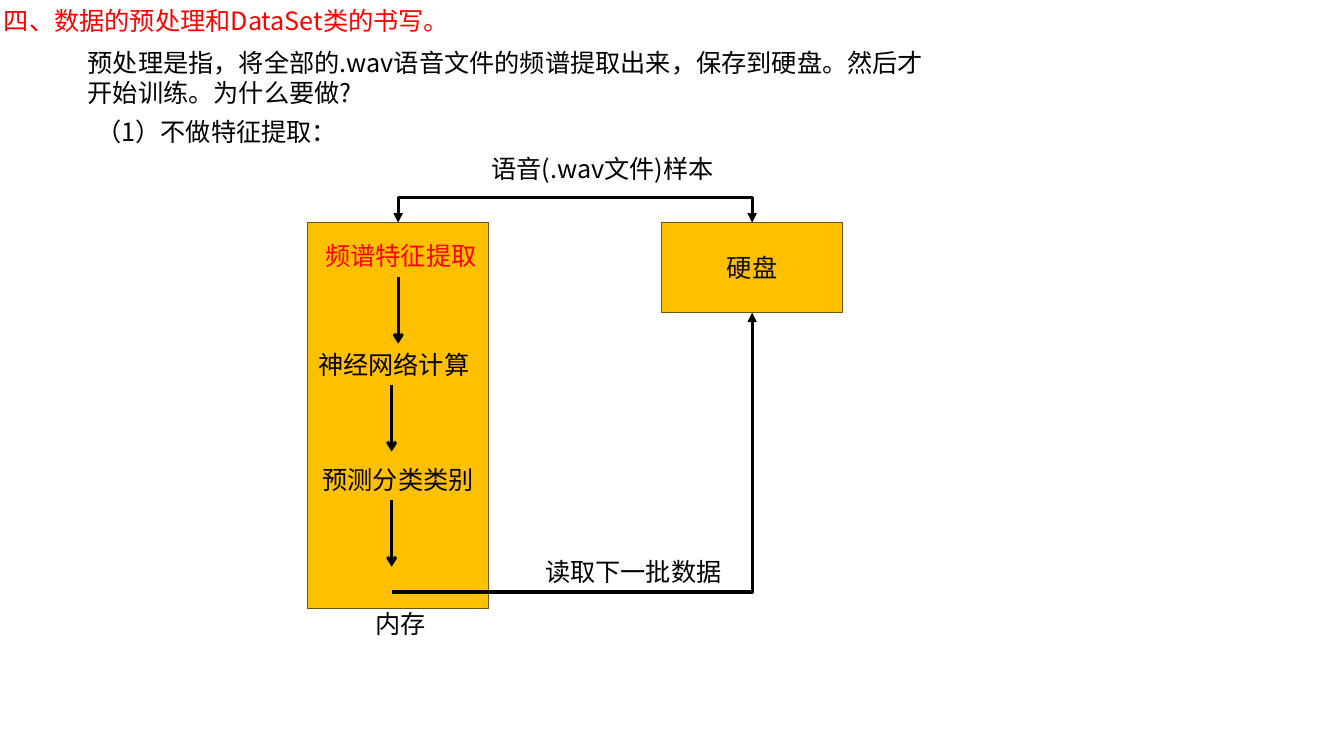
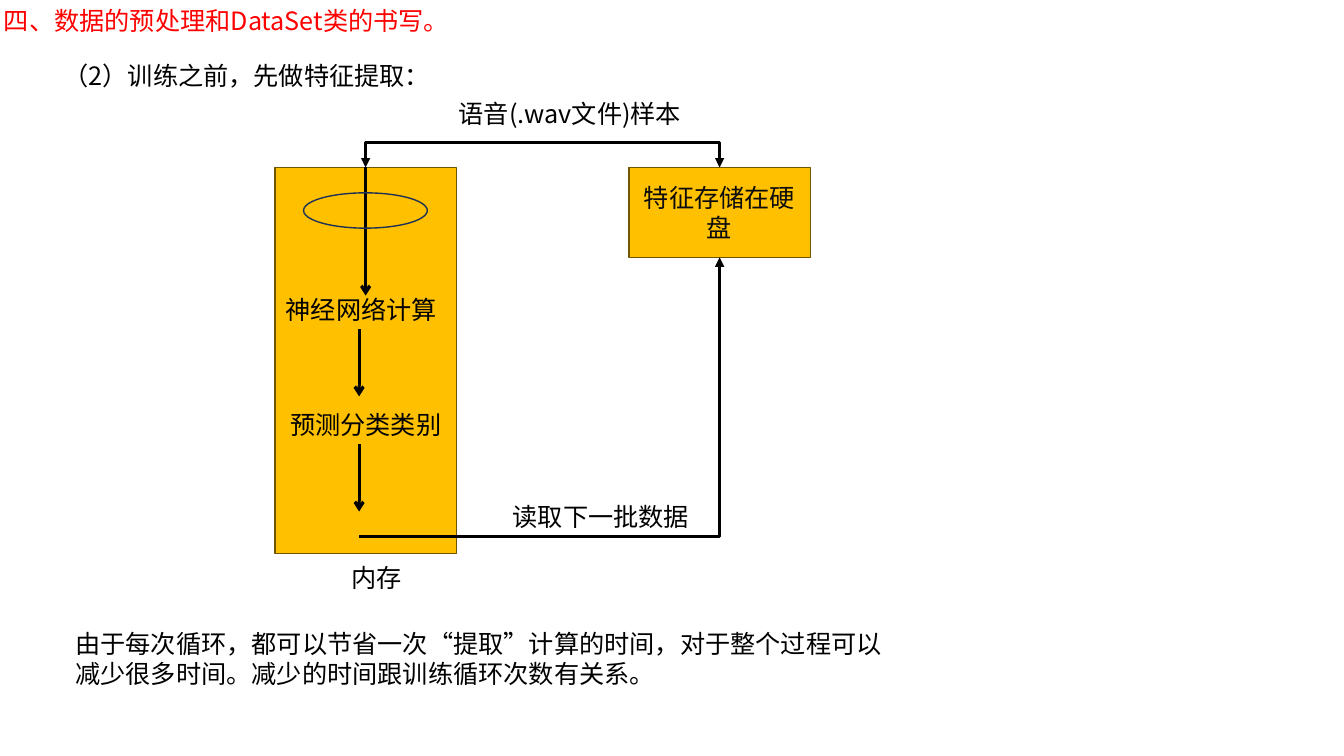
from dataclasses import dataclass

from lxml import etree
from pptx import Presentation
from pptx.dml.color import RGBColor
from pptx.enum import shapes, text
from pptx.oxml import ns
from pptx.util import Cm, Pt


@dataclass(frozen=True)
class Theme:
    font: str = "Noto Sans CJK SC"
    size: float = 18
    ink: str = "000000"
    box_ink: str = "0D0D0D"
    accent: str = "FF0000"
    box_fill: str = "FFC000"
    box_edge: str = "705400"
    ellipse_edge: str = "1E3256"
    edge_width: float = 1
    arrow_width: float = 2.25


THEME = Theme()
LINE_HEIGHT = 1.03
MEMORY_SIZE = (4.57, 9.73)
DISK_SIZE = (4.57, 2.27)
DISK_OFFSET = 8.92


# Basic parts; all lengths are in centimetres
def write_text(frame, words, color=THEME.ink, size=THEME.size,
               align=text.PP_ALIGN.LEFT, anchor=text.MSO_ANCHOR.TOP):
    frame.word_wrap = True
    frame.vertical_anchor = anchor
    paragraph = frame.paragraphs[0]
    paragraph.alignment = align
    run = paragraph.add_run()
    run.text = words
    run.font.size = Pt(size)
    run.font.name = THEME.font
    run.font.color.rgb = RGBColor.from_string(color)
    east_asian = etree.SubElement(run.font._element, ns.qn("a:ea"))
    east_asian.set("typeface", THEME.font)


def add_label(slide, words, left, top, width, height=LINE_HEIGHT, **style):
    label = slide.shapes.add_textbox(Cm(left), Cm(top), Cm(width), Cm(height))
    write_text(label.text_frame, words, **style)


def add_outline(slide, kind, left, top, size, edge, fill=None):
    outline = slide.shapes.add_shape(kind, Cm(left), Cm(top), *map(Cm, size))
    outline.shadow.inherit = False
    if fill:
        outline.fill.solid()
        outline.fill.fore_color.rgb = RGBColor.from_string(fill)
    else:
        outline.fill.background()
    outline.line.color.rgb = RGBColor.from_string(edge)
    outline.line.width = Pt(THEME.edge_width)
    return outline


def add_box(slide, left, top, size):
    return add_outline(slide, shapes.MSO_SHAPE.RECTANGLE, left, top, size,
                       THEME.box_edge, THEME.box_fill)


def add_arrow(slide, start, end, bent=False):
    """Straight arrow, or one that runs sideways first and then up or down."""
    route = shapes.MSO_CONNECTOR.ELBOW if bent else shapes.MSO_CONNECTOR.STRAIGHT
    arrow = slide.shapes.add_connector(route, *map(Cm, (*start, *end)))
    arrow.line.color.rgb = RGBColor.from_string(THEME.ink)
    arrow.line.width = Pt(THEME.arrow_width)
    properties = arrow._element.spPr
    if bent:
        properties.find(ns.qn("a:prstGeom")).set("prst", "bentConnector2")
    tip = etree.SubElement(arrow.line._get_or_add_ln(), ns.qn("a:tailEnd"))
    tip.set("type", "triangle" if bent else "arrow")
    etree.SubElement(properties, ns.qn("a:effectLst"))


# Regions
def add_heading(slide):
    add_label(slide, "四、数据的预处理和DataSet类的书写。", -0.15, 0, 11.38,
              color=THEME.accent)


def add_data_flow(slide, left, top, disk_words, first_arrow, memory_label):
    """Memory and disk with the arrows between them, from memory's corner."""
    def at(x, y):
        return left + x, top + y

    # Disk and memory
    disk = add_box(slide, *at(DISK_OFFSET, 0), DISK_SIZE)
    write_text(disk.text_frame, disk_words, color=THEME.box_ink,
               align=text.PP_ALIGN.CENTER, anchor=text.MSO_ANCHOR.MIDDLE)
    add_box(slide, left, top, MEMORY_SIZE)
    add_label(slide, "内存", *at(*memory_label), 2.16)

    # Samples shared by both boxes
    memory_middle = MEMORY_SIZE[0] / 2
    disk_middle = DISK_OFFSET + DISK_SIZE[0] / 2
    bridge = at((memory_middle + disk_middle) / 2, -0.63)
    for middle in (memory_middle, disk_middle):
        add_arrow(slide, bridge, at(middle, 0), bent=True)
    add_label(slide, "语音(.wav文件)样本", *at(4.38, -1.87), 6.78)

    # Steps in memory
    add_arrow(slide, *(at(memory_middle, y) for y in first_arrow))
    step_axis = 2.12
    for words, indent, y in (("神经网络计算", 0.02, 3.06),
                             ("预测分类类别", 0.13, 5.96)):
        add_label(slide, words, *at(indent, y), 5.31)
        add_arrow(slide, at(step_axis, y + 1.02), at(step_axis, y + 2.71))

    # Next batch
    add_arrow(slide, at(step_axis, 9.31), at(disk_middle, DISK_SIZE[1]), bent=True)
    add_label(slide, "读取下一批数据", *at(5.74, 8.28), 5.46)


# Slides
def build_without_extraction(slide):
    left, top = 7.75, 5.61
    add_heading(slide)
    add_label(slide, "预处理是指，将全部的.wav语音文件的频谱提取出来，保存到硬盘。"
              "然后才开始训练。为什么要做?", 1.96, 1.07, 22, 1.8)
    add_label(slide, "（1）不做特征提取：", 2.18, 2.8, 8.36)
    add_data_flow(slide, left, top, "硬盘", first_arrow=(1.36, 3.05),
                  memory_label=(1.47, 9.6))
    add_label(slide, "频谱特征提取", left + 0.2, top + 0.33, 5.31,
              color=THEME.accent)


def build_with_extraction(slide):
    left, top = 6.93, 4.22
    add_heading(slide)
    add_label(slide, "（2）训练之前，先做特征提取：", 1.35, 1.4, 11.91)
    add_data_flow(slide, left, top, "特征存储在硬盘", first_arrow=(0, 3.23),
                  memory_label=(1.68, 9.83))
    add_outline(slide, shapes.MSO_SHAPE.OVAL, left + 0.72, top + 0.64,
                (3.12, 0.89), THEME.ellipse_edge)
    add_label(slide, "由于每次循环，都可以节省一次“提取”计算的时间，对于整个过程可以"
              "减少很多时间。减少的时间跟训练循环次数有关系。", 1.65, 15.7, 21.13, 1.8)


def main():
    deck = Presentation()
    deck.slide_width, deck.slide_height = Cm(33.87), Cm(19.05)
    blank = deck.slide_layouts[6]
    for build in (build_without_extraction, build_with_extraction):
        build(deck.slides.add_slide(blank))
    deck.save("out.pptx")


if __name__ == "__main__":
    main()
